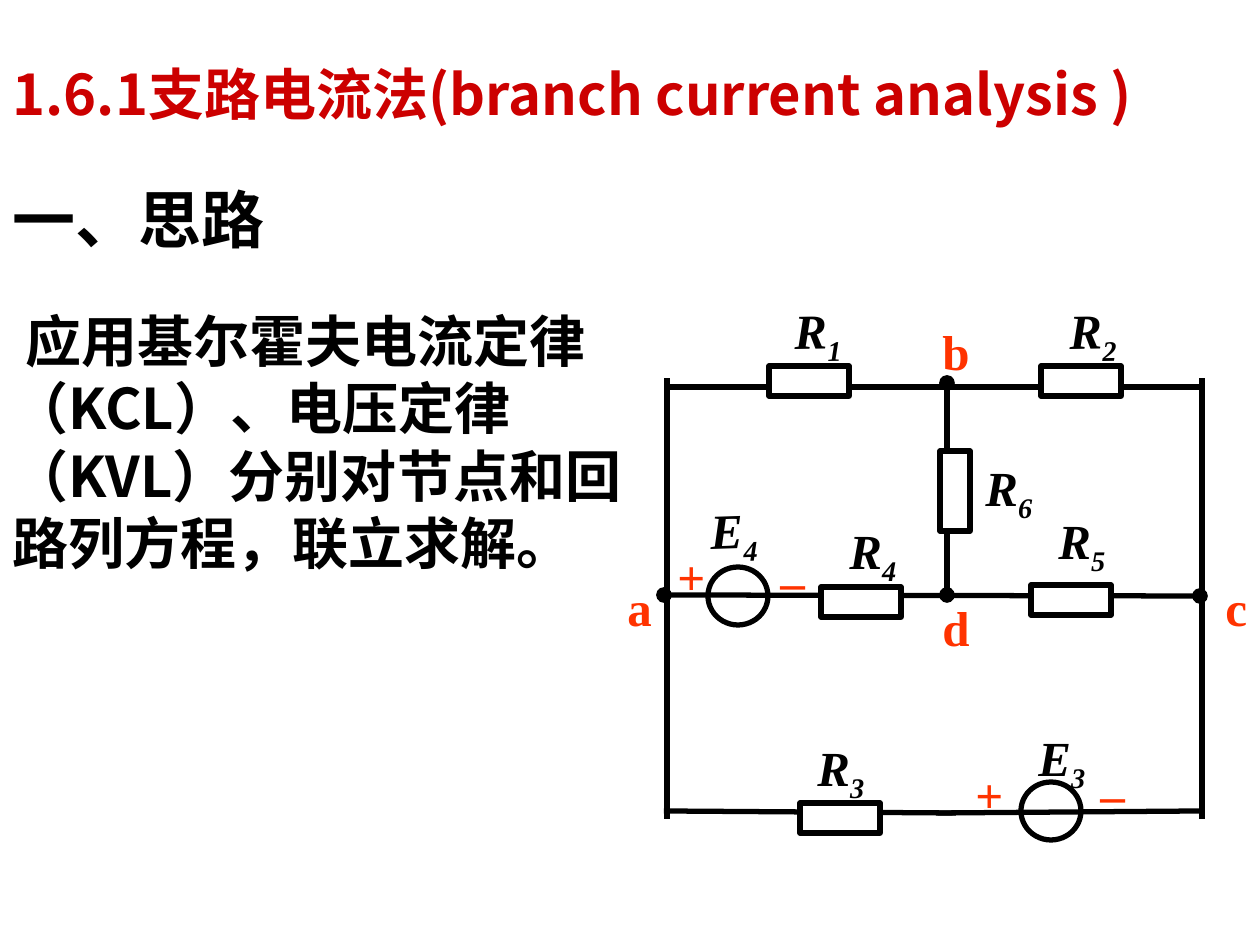
import pptx
import pptx.util
import pptx.dml.color
import pptx.enum.shapes
import pptx.enum.text
import lxml.etree

PX = 914400 / 126
COLORS = {"ink": "000000", "paper": "FFFFFF", "title": "CC0000", "mark": "FF3300"}
SANS, SERIF = "Noto Sans CJK SC", "Times New Roman"
KINDS = pptx.enum.shapes.MSO_SHAPE
NS = "{http://schemas.openxmlformats.org/drawingml/2006/main}"


def emu(*sizes):
    return [round(n * PX) for n in sizes]


def style(par, name, size, color):
    font = par.font
    font.name, font.size, font.bold = name, pptx.util.Pt(size), True
    font.color.rgb = pptx.dml.color.RGBColor.from_string(COLORS[color])
    lxml.etree.SubElement(font._element, NS + "ea", typeface=SANS)


deck = pptx.Presentation()
deck.slide_width, deck.slide_height = emu(1260, 945)
slide = deck.slides.add_slide(deck.slide_layouts[5])
shapes = slide.shapes

# Title
title = shapes.title
title.left, title.top, title.width, title.height = emu(0, 35, 1191, 116)
frame = title.text_frame
frame.text = "1.6.1支路电流法(branch current analysis )"
frame.auto_size = pptx.enum.text.MSO_AUTO_SIZE.NONE
frame.vertical_anchor = pptx.enum.text.MSO_ANCHOR.MIDDLE
par = frame.paragraphs[0]
par.alignment = pptx.enum.text.PP_ALIGN.LEFT
style(par, SANS, 32, "title")

# Heading
frame = shapes.add_textbox(*emu(0, 174, 305, 105)).text_frame
frame.word_wrap = True
frame.text = "一、思路"
style(frame.paragraphs[0], "Arial", 36, "ink")

# Body text
frame = shapes.add_textbox(*emu(0, 300, 640, 350)).text_frame
frame.word_wrap = True
par = frame.paragraphs[0]
par.line_spacing = pptx.util.Pt(38.5)
par._p.get_or_add_pPr().set("hangingPunct", "0")
style(par, SERIF, 32, "ink")
for text, name in [
    (" 应用基尔霍夫电流定律（", SERIF), ("KCL", SANS),
    ("）、电压定律（", SERIF), ("KVL", SANS),
    ("）分别对节点和回路列方程，联立求解。", SERIF),
]:
    run = par.add_run()
    run.text = text
    run.font.name = name

# Circuit parts by centre and size: sources lie under the wires, resistors over
sources = [(738, 596, 60, 58), (1051, 811, 60, 58)]
flat = [(809, 381), (1081, 381), (861, 602), (1071, 600), (840, 818)]
resists = [(x, y, 80, 30) for x, y in flat] + [(955, 491, 30, 80)]
# Wires: both ends, and whether they carry node dots
wires = [
    (668, 387, 1203, 387, False),
    (664, 595, 1200, 596, True),
    (947, 595, 947, 383, True),
    (667, 378, 667, 819, False),
    (1202, 378, 1202, 819, False),
    (664, 811, 956, 813, False),
    (936, 813, 1200, 811, False),
]
ink = pptx.dml.color.RGBColor.from_string(COLORS["ink"])
paper = pptx.dml.color.RGBColor.from_string(COLORS["paper"])

for kind, parts in [(KINDS.OVAL, sources), (None, wires), (KINDS.RECTANGLE, resists)]:
    for part in parts:
        if kind is None:
            *ends, dots = part
            item = shapes.add_connector(pptx.enum.shapes.MSO_CONNECTOR.STRAIGHT, *emu(*ends))
            lxml.etree.SubElement(item._element.spPr, NS + "effectLst")
        else:
            x, y, w, h = part
            item = shapes.add_shape(kind, *emu(x - w / 2, y - h / 2, w, h))
            item.shadow.inherit = False
            item.fill.solid()
            item.fill.fore_color.rgb = paper
            dots = False
        item.line.color.rgb = ink
        item.line.width = pptx.util.Pt(3)
        if dots:
            for end in ("headEnd", "tailEnd"):
                lxml.etree.SubElement(item.line._get_or_add_ln(), NS + end, type="oval")

# Labels: text, subscript, left, top, width, height, turn
labels = [
    ("R", "1", 782, 294, 72, 79, -1), ("R", "2", 1057, 294, 72, 79, -1),
    ("R", "3", 805, 731, 72, 79, 0), ("R", "4", 837, 514, 72, 79, 0),
    ("R", "5", 1046, 504, 72, 79, 0), ("R", "6", 973, 451, 72, 79, 0),
    ("E", "3", 1026, 721, 72, 79, 0), ("E", "4", 698, 494, 72, 79, -2),
    ("a", "", 615, 571, 49, 72, 0), ("b", "", 930, 315, 52, 72, 0),
    ("c", "", 1213, 571, 47, 72, 0), ("d", "", 930, 591, 52, 72, 0),
    ("+", "", 662, 543, 53, 72, 270), ("_", "", 764, 577, 50, 72, 180),
    ("+", "", 960, 761, 53, 72, 270), ("_", "", 1084, 790, 50, 72, 180),
]
for text, sub, *place, turn in labels:
    box = shapes.add_textbox(*emu(*place))
    box.rotation = turn
    box.text_frame.word_wrap = False
    par = box.text_frame.paragraphs[0]
    style(par, SERIF, 28, "ink" if sub else "mark")
    par.font.italic = text not in "abcd"
    par.add_run().text = text
    if sub:
        run = par.add_run()
        run.text = sub
        run.font._element.set("baseline", "-25000")

deck.save("out.pptx")
